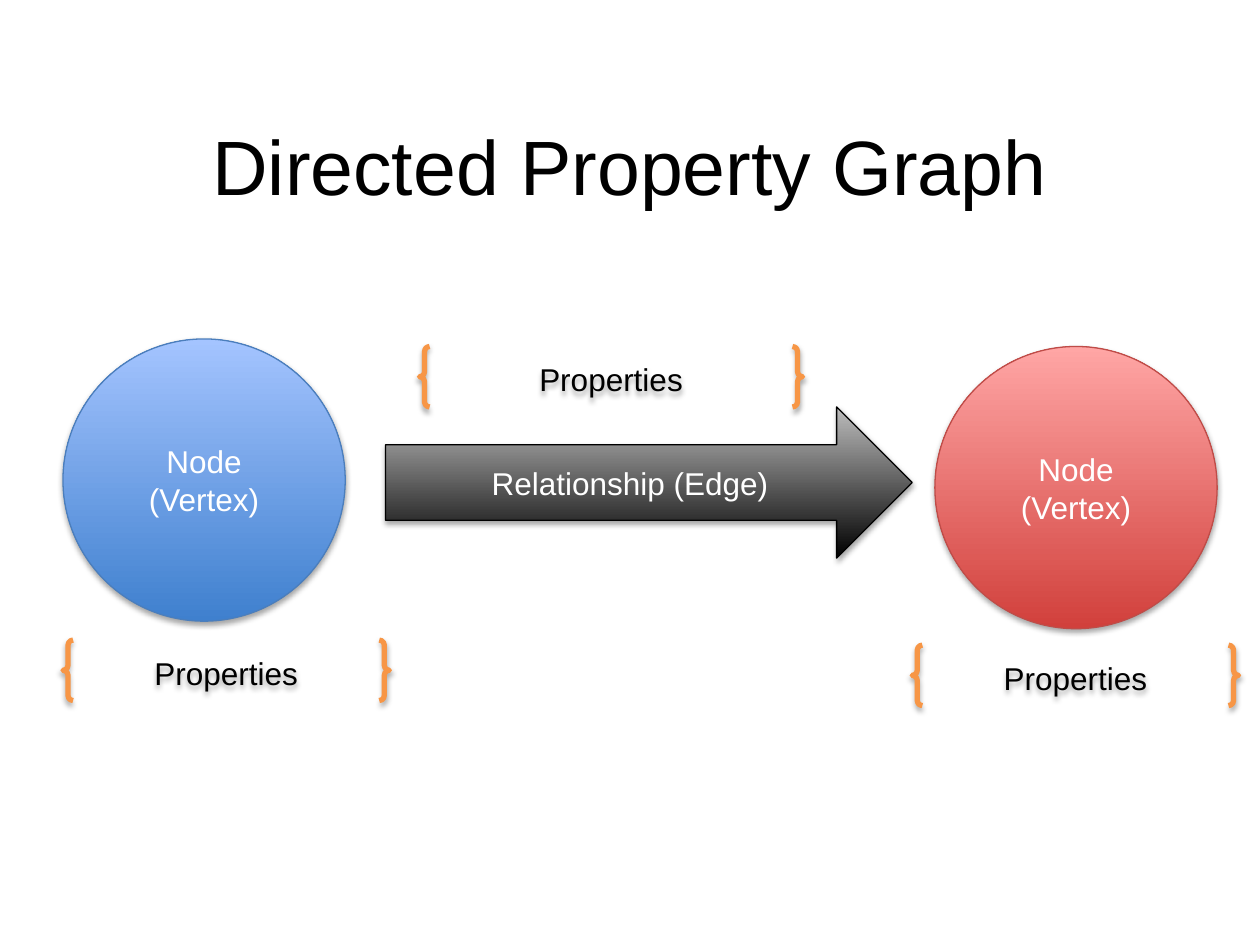
from dataclasses import dataclass

from lxml import etree
from pptx import Presentation
from pptx import util as u
from pptx.dml.color import RGBColor
from pptx.enum import shapes, text
from pptx.oxml.ns import qn

COLORS = {
    "black": "000000",
    "white": "FFFFFF",
    "orange": "F79646",
    "blue_dark": "3F80CE",
    "blue_light": "A4C4FF",
    "blue_line": "4B7EBC",
    "red_dark": "D1403C",
    "red_light": "FFA6A5",
    "red_line": "BF4C48",
    "gray": "BDBDBD",
}
FONT = "Arial"
NODE_SIZE = 2.24
BRACE_HEIGHT = 0.48


@dataclass(frozen=True)
class GraphPart:
    kind: shapes.MSO_SHAPE
    label: str
    left: float
    top: float
    width: float
    height: float
    line: str
    line_width: float = 0.75
    gradient: tuple[str, ...] = ()
    ink: str = "white"


def color(name: str) -> RGBColor:
    return RGBColor.from_string(COLORS[name])


def node(left: float, top: float, hue: str) -> GraphPart:
    return GraphPart(shapes.MSO_SHAPE.OVAL, "Node\n(Vertex)", left, top,
                     NODE_SIZE, NODE_SIZE, f"{hue}_line",
                     gradient=(f"{hue}_dark", f"{hue}_light"))


def properties(left: float, top: float, width: float = 2.59) -> GraphPart:
    return GraphPart(shapes.MSO_SHAPE.DOUBLE_BRACE, "Properties", left, top,
                     width, BRACE_HEIGHT, "orange", line_width=3, ink="black")


def write(frame, content: str, size: float, ink: str) -> None:
    frame.text = content
    frame.vertical_anchor = text.MSO_ANCHOR.MIDDLE
    for paragraph in frame.paragraphs:
        paragraph.alignment = text.PP_ALIGN.CENTER
        paragraph.font.name = FONT
        paragraph.font.size = u.Pt(size)
        paragraph.font.color.rgb = color(ink)


def add_shadow(shape) -> None:
    shape.shadow.inherit = False
    effects = shape._element.spPr.find(qn("a:effectLst"))
    outer = etree.SubElement(effects, qn("a:outerShdw"), blurRad="40000",
                             dist="23000", dir="5400000", rotWithShape="0")
    tint = etree.SubElement(outer, qn("a:srgbClr"), val=COLORS["black"])
    etree.SubElement(tint, qn("a:alpha"), val="35000")


def draw(slide, part: GraphPart) -> None:
    shape = slide.shapes.add_shape(
        part.kind, u.Inches(part.left), u.Inches(part.top),
        u.Inches(part.width), u.Inches(part.height))
    if part.gradient:
        shape.fill.gradient()
        shape.fill.gradient_angle = 90
        for position, (stop, name) in enumerate(
                zip(shape.fill.gradient_stops, part.gradient)):
            stop.position = position
            stop.color.rgb = color(name)
    else:
        shape.fill.background()
    shape.line.color.rgb = color(part.line)
    shape.line.width = u.Pt(part.line_width)
    add_shadow(shape)
    write(shape.text_frame, part.label, 18, part.ink)


PARTS = [
    node(0.5, 2.69, "blue"),
    GraphPart(shapes.MSO_SHAPE.RIGHT_ARROW, "Relationship (Edge)",
              3.06, 3.23, 4.18, 1.2, "black", gradient=("black", "gray")),
    properties(0.5, 5.08),
    properties(7.24, 5.12),
    node(7.42, 2.75, "red"),
    properties(3.33, 2.75, 3.04),
]


def main() -> None:
    deck = Presentation()
    deck.slide_width, deck.slide_height = u.Inches(10), u.Inches(7.5)
    slide = deck.slides.add_slide(deck.slide_layouts[5])
    title = slide.shapes.title
    title.left, title.top = u.Inches(0.5), u.Inches(0.68)
    title.width, title.height = u.Inches(9), u.Inches(1.25)
    write(title.text_frame, "Directed Property Graph", 44, "black")
    for part in PARTS:
        draw(slide, part)
    deck.save("out.pptx")


if __name__ == "__main__":
    main()
